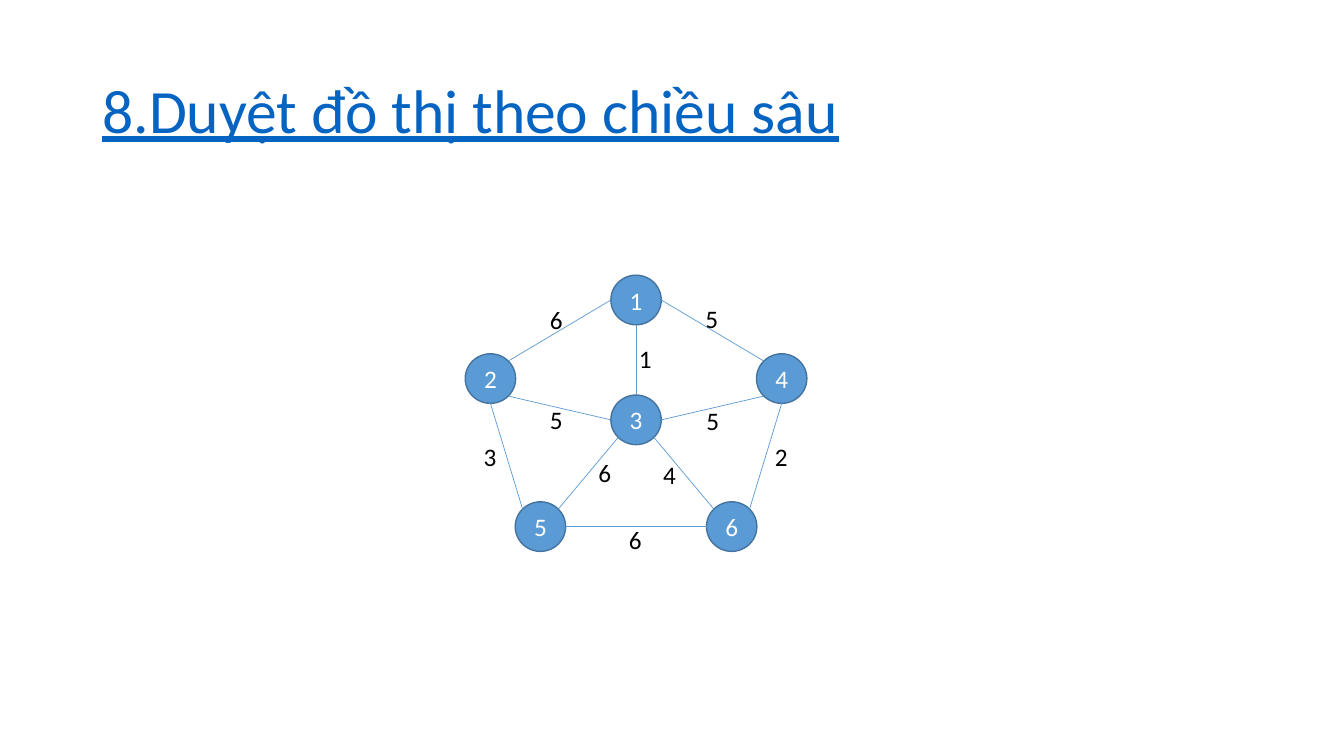
from math import sqrt
from typing import NamedTuple

from lxml import etree
from pptx import Presentation
from pptx import util as u
from pptx.dml import color as col
from pptx.enum import shapes, text
from pptx.oxml import ns

FONT = "Calibri"
WIDE, HIGH = 1.27, 1.25  # node size in cm
DIAG = sqrt(0.5)
PORTS = {
    "n": (0, -1), "s": (0, 1), "w": (-1, 0), "e": (1, 0),
    "nw": (-DIAG, -DIAG), "ne": (DIAG, -DIAG),
    "sw": (-DIAG, DIAG), "se": (DIAG, DIAG),
}


class Node(NamedTuple):
    x: float  # centre, cm
    y: float


class Edge(NamedTuple):
    start: str
    out: str
    end: str
    into: str
    cost: str
    left: float  # cost label, cm
    top: float


MID, FAR, NEAR = 16.03, 3.67, 2.41
NODES = {
    "1": Node(MID, 7.56),
    "2": Node(MID - FAR, 9.54),
    "3": Node(MID, 10.58),
    "4": Node(MID + FAR, 9.54),
    "5": Node(MID - NEAR, 13.27),
    "6": Node(MID + NEAR, 13.27),
}
EDGES = [
    Edge("2", "ne", "1", "w", "6", 13.61, 7.54),
    Edge("1", "e", "4", "nw", "5", 17.53, 7.52),
    Edge("4", "s", "6", "ne", "2", 19.28, 11),
    Edge("2", "s", "5", "nw", "3", 11.94, 11),
    Edge("5", "e", "6", "w", "6", 15.6, 13.08),
    Edge("1", "s", "3", "n", "1", 15.85, 8.53),
    Edge("2", "se", "3", "w", "5", 13.61, 10.06),
    Edge("3", "e", "4", "sw", "5", 17.55, 10.08),
    Edge("3", "se", "6", "nw", "4", 16.46, 11.46),
    Edge("3", "sw", "5", "ne", "6", 14.83, 11.4),
]


def rgb(code: str) -> col.RGBColor:
    return col.RGBColor.from_string(code)


def write(frame, words: str, size: float, ink: str, under: bool = False) -> None:
    run = frame.paragraphs[0].add_run()
    run.text = words
    font = run.font
    font.name, font.size, font.underline = FONT, u.Pt(size), under
    font.color.rgb = rgb(ink)


def port(name: str, side: str) -> tuple[u.Cm, u.Cm]:
    node, (dx, dy) = NODES[name], PORTS[side]
    return u.Cm(node.x + dx * WIDE / 2), u.Cm(node.y + dy * HIGH / 2)


def draw_title(slide, words: str) -> None:
    box = slide.shapes.add_textbox(u.Cm(2.33), u.Cm(1.01), u.Cm(29.21), u.Cm(3.68))
    frame = box.text_frame
    frame.word_wrap = True
    frame.vertical_anchor = text.MSO_ANCHOR.MIDDLE
    frame.paragraphs[0].line_spacing = 0.9
    write(frame, words, 44, "0563C1", under=True)


def draw_node(slide, name: str, node: Node) -> None:
    oval = slide.shapes.add_shape(
        shapes.MSO_SHAPE.OVAL, u.Cm(node.x - WIDE / 2), u.Cm(node.y - HIGH / 2),
        u.Cm(WIDE), u.Cm(HIGH))
    oval.shadow.inherit = False
    oval.fill.solid()
    oval.fill.fore_color.rgb = rgb("5B9BD5")
    oval.line.color.rgb = rgb("43739E")
    oval.line.width = u.Pt(1)
    frame = oval.text_frame
    frame.vertical_anchor = text.MSO_ANCHOR.MIDDLE
    frame.paragraphs[0].alignment = text.PP_ALIGN.CENTER
    write(frame, name, 18, "FFFFFF")


def draw_edge(slide, edge: Edge) -> None:
    line = slide.shapes.add_connector(
        shapes.MSO_CONNECTOR.STRAIGHT,
        *port(edge.start, edge.out), *port(edge.end, edge.into))
    line.line.color.rgb = rgb("5B9BD5")
    line.line.width = u.Pt(0.5)
    etree.SubElement(line._element.spPr, ns.qn("a:effectLst"))


def draw_cost(slide, edge: Edge) -> None:
    box = slide.shapes.add_textbox(
        u.Cm(edge.left), u.Cm(edge.top), u.Cm(0.84), u.Cm(1.02))
    frame = box.text_frame
    frame.word_wrap = False
    frame.auto_size = text.MSO_AUTO_SIZE.SHAPE_TO_FIT_TEXT
    write(frame, edge.cost, 18, "000000")


def main() -> None:
    deck = Presentation()
    deck.slide_width, deck.slide_height = u.Cm(33.87), u.Cm(19.05)
    slide = deck.slides.add_slide(deck.slide_layouts[6])

    # Title
    draw_title(slide, "8.Duyệt đồ thị theo chiều sâu")

    # Graph: nodes, then edges, then costs on top
    for name, node in NODES.items():
        draw_node(slide, name, node)
    for edge in EDGES:
        draw_edge(slide, edge)
    for edge in EDGES:
        draw_cost(slide, edge)

    deck.save("out.pptx")


if __name__ == "__main__":
    main()
